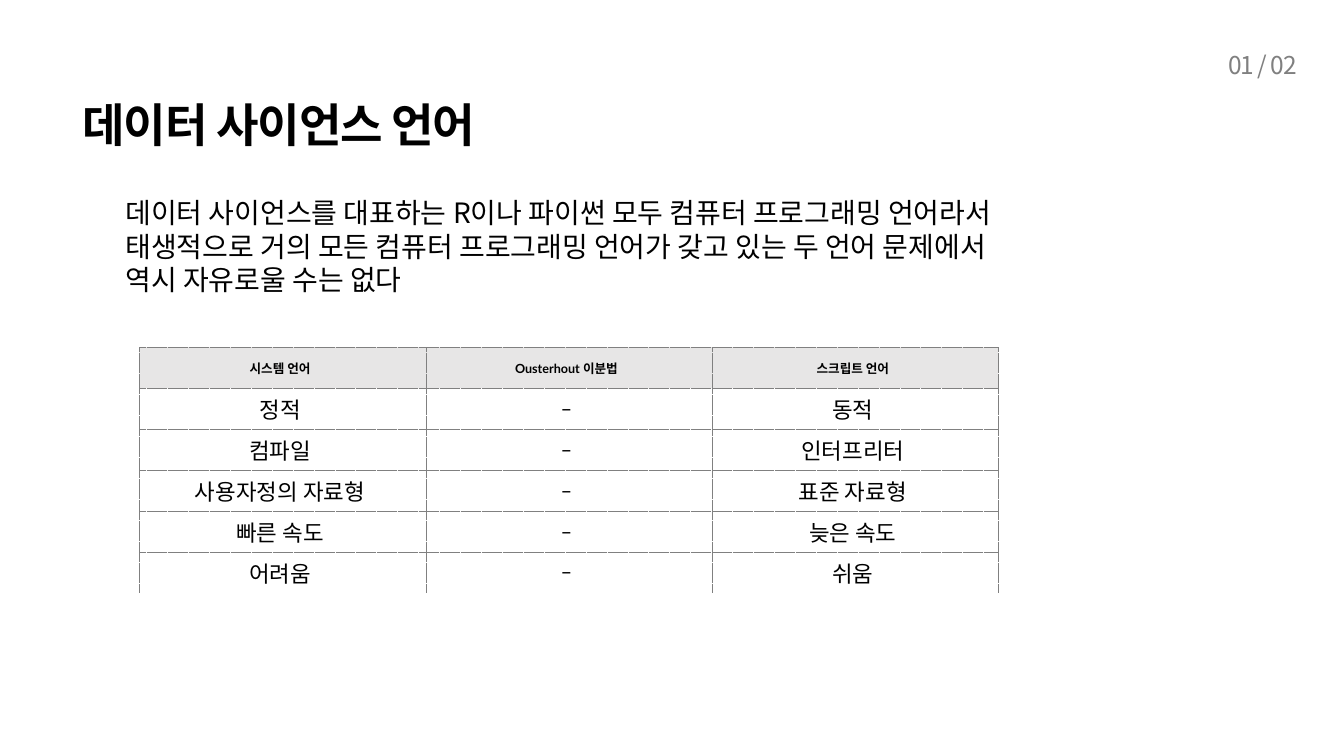
from pptx import Presentation
from pptx.dml.color import RGBColor
from pptx.enum.text import MSO_ANCHOR, PP_ALIGN
from pptx.oxml import parse_xml
from pptx.oxml.ns import nsdecls
from pptx.util import Cm, Pt

BLACK = RGBColor(0x00, 0x00, 0x00)
GRAY = RGBColor(0x80, 0x80, 0x80)
HEADER_FILL = RGBColor(0xE7, 0xE6, 0xE6)
WHITE = RGBColor(0xFF, 0xFF, 0xFF)
KOREAN_FONT = "Noto Sans CJK KR"

# Content: text, box in cm (left, top, width, height) and formats
TEXTS = [
    dict(text="01 / 02", box=(56.87, 2.51, 8.48, 1.55), inset=(0, 0), spacing=-150,
         paragraph=dict(alignment=PP_ALIGN.RIGHT, space_after=Pt(10)),
         font=dict(name=KOREAN_FONT, size=Pt(35)), color=GRAY),
    dict(text="데이터 사이언스 언어", box=(3.91, 5.03, 48.44, 2.54), inset=(0.25, 0.13),
         spacing=-150, paragraph=dict(line_spacing=0.9, space_after=Pt(5)),
         font=dict(name=KOREAN_FONT, size=Pt(66), bold=True), color=BLACK),
    dict(text="데이터 사이언스를 대표하는 R이나 파이썬 모두 컴퓨터 프로그래밍 언어라서 태생적으로 "
              "거의 모든 컴퓨터 프로그래밍 언어가 갖고 있는 두 언어 문제에서 역시 자유로울 수는 없다",
         box=(6.07, 9.73, 45.21, 5.38), inset=(0.25, 0.13), spacing=0,
         paragraph=dict(line_spacing=1.0),
         font=dict(name=KOREAN_FONT, size=Pt(40)), color=BLACK),
]
ROWS = [
    ("시스템 언어", "Ousterhout 이분법", "스크립트 언어"),
    ("정적", "–", "동적"),
    ("컴파일", "–", "인터프리터"),
    ("사용자정의 자료형", "–", "표준 자료형"),
    ("빠른 속도", "–", "늦은 속도"),
    ("어려움", "–", "쉬움"),
]
TABLE_LEFT, TABLE_TOP = 7.02, 17.51
COLUMN_WIDTH, ROW_HEIGHT = 14.43, 2.06
HEADER_FONT = dict(name="Lato", size=Pt(18), bold=True)
BODY_FONT = dict(name="Calibri", size=Pt(32), bold=False)
CELL_FORMAT = dict(vertical_anchor=MSO_ANCHOR.MIDDLE, margin_left=Cm(0.18),
                   margin_right=Cm(0.43), margin_top=Cm(0.13), margin_bottom=Cm(0.13))


def apply(target, values):
    for name, value in values.items():
        setattr(target, name, value)


def add_run(paragraph, text, font, color, spacing=0):
    run = paragraph.add_run()
    run.text = text
    apply(run.font, font)
    run.font.color.rgb = color
    if spacing:
        run.font._element.set("spc", str(spacing))


def add_text(slide, item):
    shape = slide.shapes.add_textbox(*map(Cm, item["box"]))
    horizontal, vertical = map(Cm, item["inset"])
    frame = shape.text_frame
    apply(frame, dict(word_wrap=True, vertical_anchor=MSO_ANCHOR.TOP,
                      margin_left=horizontal, margin_right=horizontal,
                      margin_top=vertical, margin_bottom=vertical))
    paragraph = frame.paragraphs[0]
    apply(paragraph, item["paragraph"])
    add_run(paragraph, item["text"], item["font"], item["color"], item["spacing"])


def set_borders(cell, sides):
    """Dotted hairlines; they come before the fill in the cell properties."""
    properties = cell._tc.get_or_add_tcPr()
    for index, side in enumerate(sides):
        properties.insert(index, parse_xml(
            f'<a:ln{side} {nsdecls("a")} w="6350"><a:solidFill><a:srgbClr val="{GRAY}"/>'
            f'</a:solidFill><a:prstDash val="dot"/></a:ln{side}>'))


def add_language_table(slide):
    column_count, row_count = len(ROWS[0]), len(ROWS)
    table = slide.shapes.add_table(
        row_count, column_count, Cm(TABLE_LEFT), Cm(TABLE_TOP),
        Cm(COLUMN_WIDTH * column_count), Cm(ROW_HEIGHT * row_count)).table
    apply(table, dict(first_row=False, horz_banding=False))
    # Plain style without grid, so only the borders set here show
    table._tbl.tblPr[0].text = "{2D5ABB26-0587-4C30-8999-92F81FD0307C}"
    for column in table.columns:
        column.width = Cm(COLUMN_WIDTH)
    for row_index, texts in enumerate(ROWS):
        table.rows[row_index].height = Cm(ROW_HEIGHT)
        is_header = row_index == 0
        # The last row stays open at the bottom
        sides = "LRT" if row_index == row_count - 1 else "LRTB"
        for column_index, text in enumerate(texts):
            cell = table.cell(row_index, column_index)
            apply(cell, CELL_FORMAT)
            cell.fill.solid()
            cell.fill.fore_color.rgb = HEADER_FILL if is_header else WHITE
            set_borders(cell, sides)
            paragraph = cell.text_frame.paragraphs[0]
            paragraph.alignment = PP_ALIGN.CENTER
            add_run(paragraph, text, HEADER_FONT if is_header else BODY_FONT, BLACK)


def main():
    presentation = Presentation()
    apply(presentation, dict(slide_width=Cm(67.72), slide_height=Cm(38.1)))
    slide = presentation.slides.add_slide(presentation.slide_layouts[6])
    for item in TEXTS:
        add_text(slide, item)
    add_language_table(slide)
    presentation.save("out.pptx")


if __name__ == "__main__":
    main()
